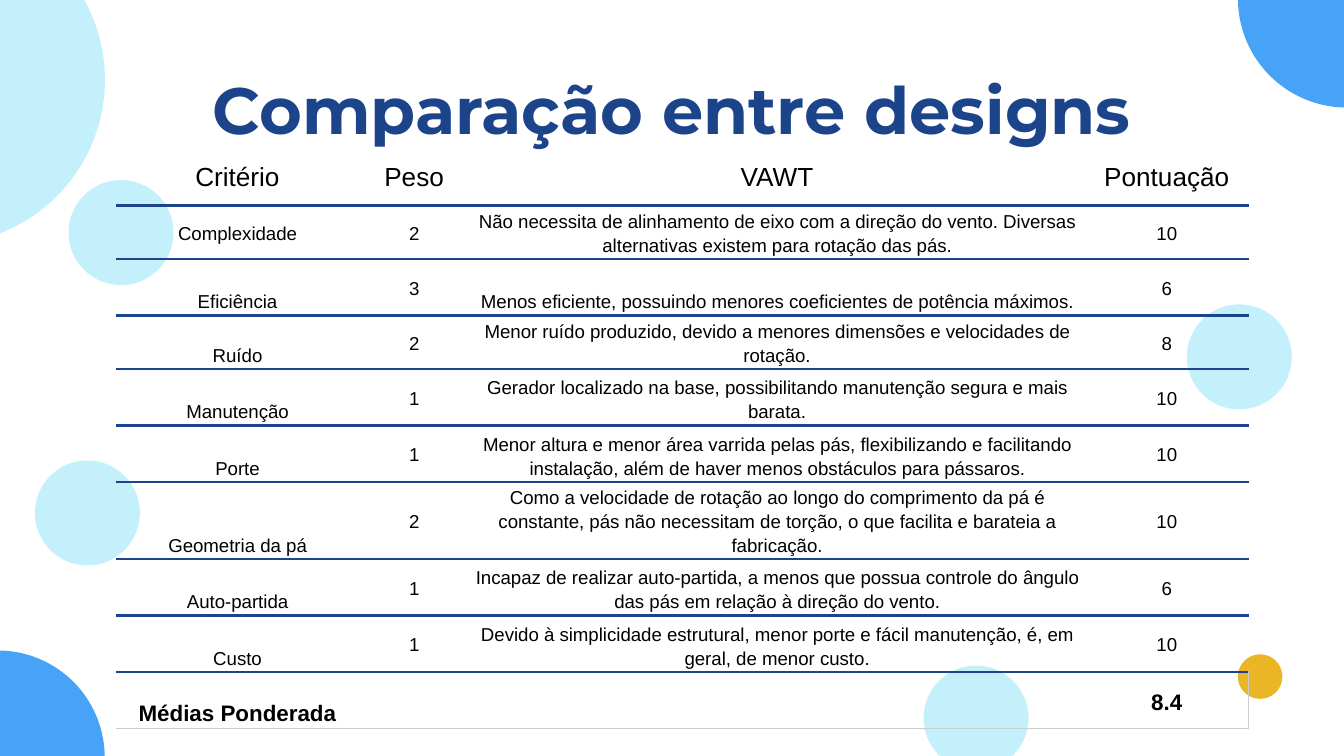
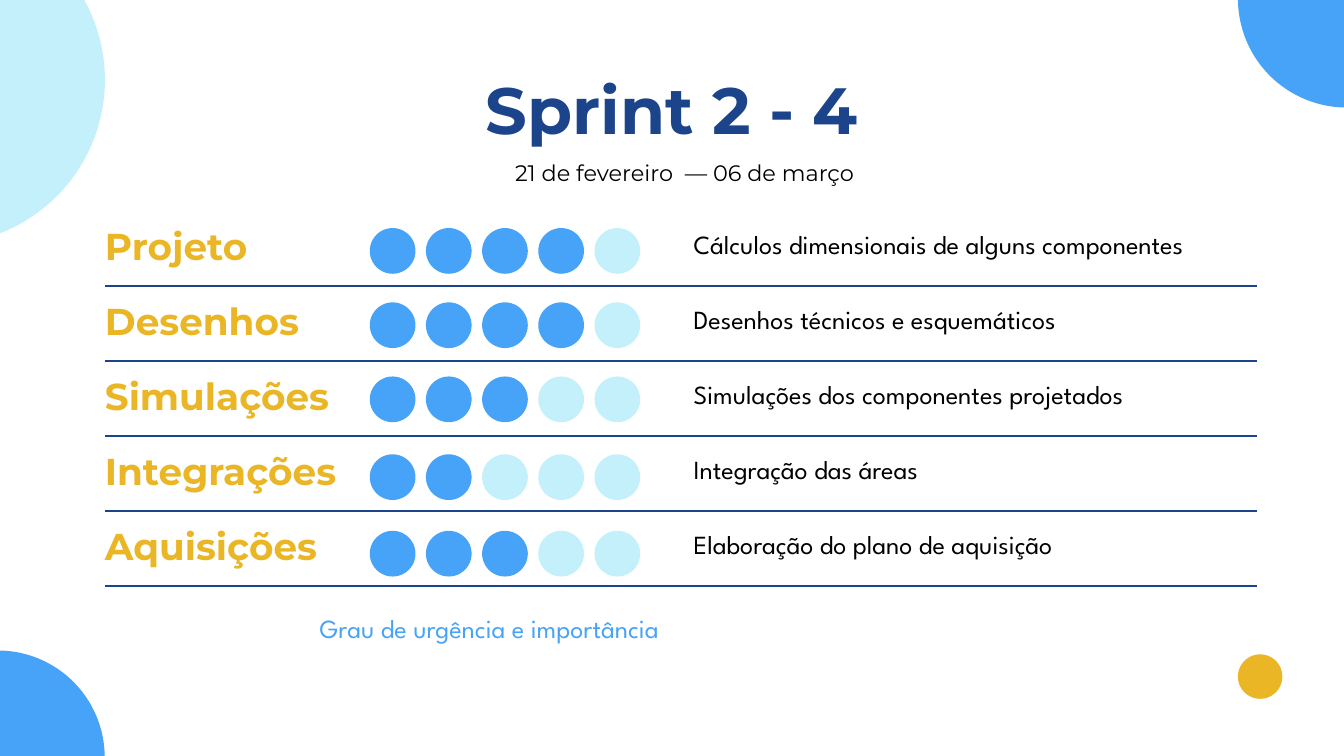
"""Build two slides: a weighted design comparison and a sprint status board."""
from dataclasses import dataclass, field
from lxml import etree
from pptx import Presentation
from pptx.dml.color import RGBColor
from pptx.enum.shapes import MSO_SHAPE
from pptx.enum.text import MSO_ANCHOR, MSO_AUTO_SIZE, PP_ALIGN
from pptx.oxml.ns import qn
from pptx.util import Pt

OVAL, PIE = MSO_SHAPE.OVAL, MSO_SHAPE.PIE
LEFT, MID = PP_ALIGN.LEFT, PP_ALIGN.CENTER
TOP, CENTER, BASE = MSO_ANCHOR.TOP, MSO_ANCHOR.MIDDLE, MSO_ANCHOR.BOTTOM
GROW, FIXED = MSO_AUTO_SIZE.SHAPE_TO_FIT_TEXT, MSO_AUTO_SIZE.NONE
PLAIN = "{2D5ABB26-0587-4C30-8999-92F81FD0307C}"


@dataclass
class Theme:
    navy: str = "1C448A"
    blue: str = "47A3F7"
    sky: str = "4CD2F8"
    gold: str = "EAB625"
    gray: str = "CCCCCC"
    black: str = "000000"
    styles: dict = field(default_factory=dict)


look = Theme()
# font, size, colour, bold, align, anchor, side inset, top inset, spacing
look.styles = {
    "title": ("Montserrat", 35, look.navy, True, MID, CENTER, 7.2, 7.2, 1),
    "date": ("Montserrat", 12, look.black, False, MID, TOP, 7.2, 7.2, 1),
    "key": ("League Spartan", 14, look.blue, False, LEFT, TOP, 7.2, 7.2, 1),
    "head": ("Arial", 14, look.black, False, MID, CENTER, 7.2, 7.2, 1),
    "score": ("Arial", 10, look.black, False, MID, CENTER, 2.25, 1.5, 1.15),
    "note": ("Arial", 10, look.black, False, MID, BASE, 2.25, 1.5, 1.15),
    "sum": ("Arial", 12, look.black, True, MID, BASE, 2.25, 1.5, 1.15),
    "mean": ("Arial", 12, look.black, True, MID, CENTER, 2.25, 1.5, 1.15),
    "area": ("Montserrat", 20, look.gold, True, LEFT, TOP, 0, 7.2, 1),
    "task": ("League Spartan", 14, look.black, False, LEFT, CENTER, 7.2, 7.2, 1),
}


def disc(slide, x, y, size, color, soft=False, kind=OVAL):
    shape = slide.shapes.add_shape(kind, Pt(x), Pt(y), Pt(size), Pt(size))
    shape.shadow.inherit = False
    shape.line.fill.background()
    shape.fill.solid()
    shape.fill.fore_color.rgb = RGBColor.from_string(color)
    if soft:
        tint = shape.element.find(".//" + qn("a:srgbClr"))
        etree.SubElement(tint, qn("a:alpha"), val="33000")
    return shape


def write(box, frame, text, style):
    face, size, color, bold, align, anchor, side, edge, space = look.styles[style]
    box.margin_left = box.margin_right = Pt(side)
    box.margin_top = box.margin_bottom = Pt(edge)
    box.vertical_anchor = anchor
    para = frame.paragraphs[0]
    para.alignment = align
    para.line_spacing = space
    if text:
        run = para.add_run()
        run.text = text
        run.font.name = face
        run.font.size = Pt(size)
        run.font.bold = bold
        run.font.color.rgb = RGBColor.from_string(color)


deck = Presentation()
deck.slide_width, deck.slide_height = Pt(720), Pt(405)
layout = deck.slide_layouts[5]
first, second = [deck.slides.add_slide(layout) for _ in range(2)]

decor = [
    disc(first, -120.2, -45.4, 176.4, look.sky, True),
    disc(first, 663.2, 350.6, 23.8, look.gold),
    disc(first, -58.4, 348.5, 114.5, look.blue, kind=PIE),
    disc(first, 663.2, -59, 116.6, look.blue, kind=PIE),
]
for shape, turn in zip(decor[2:], [(162, 0), (54, 108)]):
    shape.adjustments[0], shape.adjustments[1] = turn
for i, shape in enumerate(decor):
    shape.element.nvSpPr.cNvPr.set("id", str(100 + i))
    layout.shapes.element.insert(2 + i, shape.element)

for slide, text in [(first, "Comparação entre designs"), (second, "Sprint 2 - 4")]:
    title = slide.shapes.title
    title.left, title.top, title.width, title.height = Pt(56.7), Pt(35.1), Pt(606.6), Pt(45.4)
    frame = title.text_frame
    frame.auto_size = FIXED
    write(frame, frame, text, "title")

for x, y in [(18.7, 246.7), (36.7, 96.5), (635.8, 163.1), (494.8, 356.6)]:
    disc(first, x, y, 56.2, look.sky, True)

marks = [
    ("Complexidade", "2", "Não necessita de alinhamento de eixo com a direção do vento. Diversas alternativas existem para rotação das pás.", "10"),
    ("Eficiência", "3", "Menos eficiente, possuindo menores coeficientes de potência máximos.", "6"),
    ("Ruído", "2", "Menor ruído produzido, devido a menores dimensões e velocidades de rotação.", "8"),
    ("Manutenção", "1", "Gerador localizado na base, possibilitando manutenção segura e mais barata.", "10"),
    ("Porte", "1", "Menor altura e menor área varrida pelas pás, flexibilizando e facilitando instalação, além de haver menos obstáculos para pássaros.", "10"),
    ("Geometria da pá", "2", "Como a velocidade de rotação ao longo do comprimento da pá é constante, pás não necessitam de torção, o que facilita e barateia a fabricação.", "10"),
    ("Auto-partida", "1", "Incapaz de realizar auto-partida, a menos que possua controle do ângulo das pás em relação à direção do vento.", "6"),
    ("Custo", "1", "Devido à simplicidade estrutural, menor porte e fácil manutenção, é, em geral, de menor custo.", "10"),
]
areas = [
    ("Projeto", 4, "Cálculos dimensionais de alguns componentes", 122.2),
    ("Desenhos", 4, "Desenhos técnicos e esquemáticos", 162),
    ("Simulações", 3, "Simulações dos componentes projetados", 201.7),
    ("Integrações", 2, "Integração das áreas", 243.4),
    ("Aquisições", 3, "Elaboração do plano de aquisição", 284.4),
]

rows = [(("Critério", "Peso", "VAWT", "Pontuação"), ("head",) * 4)]
rows += [(mark, ("note", "score", "note", "score")) for mark in marks]
rows[1] = (marks[0], ("score", "score", "note", "score"))
rows.append((("Médias Ponderada", "", "", "8.4"), ("sum", "note", "note", "mean")))
board = [((name, "", task), ("area", "task", "task")) for name, _, task, _ in areas]
board.append((("",) * 3, ("task",) * 3))

rule, thin = (look.navy, 1.5), (look.gray, 0.75)
grids = [
    (first, 62.1, 80, [130.3, 59, 329.8, 87.8],
     [24.5, 19.4, 30.24, 19.4] + [30.24] * 6, rows, [rule] * 9 + [thin]),
    (second, 56.2, 113, [136.1, 172.1, 308.9],
     [40.2] * 5 + [61.9], board, [rule] * 5 + [None]),
]
for slide, x, y, wide, tall, body, lines in grids:
    holder = slide.shapes.add_table(len(tall), len(wide), Pt(x), Pt(y), Pt(sum(wide)), Pt(sum(tall)))
    table = holder.table
    table.first_row = table.horz_banding = False
    holder.element.find(".//" + qn("a:tableStyleId")).text = PLAIN
    for col, size in zip(table.columns, wide):
        col.width = Pt(size)
    for r, (texts, styles) in enumerate(body):
        table.rows[r].height = Pt(tall[r])
        for c, (text, style) in enumerate(zip(texts, styles)):
            cell = table.cell(r, c)
            write(cell, cell.text_frame, text, style)
            cell.fill.background()
            edges = [("a:lnB", lines[r]), ("a:lnT", lines[r - 1] if r else None)]
            if text == "8.4":
                edges.append(("a:lnR", thin))
            for tag, line in edges:
                if line:
                    edge = etree.Element(qn(tag), w=str(Pt(line[1])))
                    fill = etree.SubElement(edge, qn("a:solidFill"))
                    etree.SubElement(fill, qn("a:srgbClr"), val=line[0])
                    cell._tc.tcPr.insert(0, edge)

for _, level, _, y in areas:
    for i in range(5):
        soft = i >= level
        disc(second, 198.1 + 30.1 * i, y, 24.5, look.sky if soft else look.blue, soft)

for text, style, x, y, w, h in [
    ("21 de fevereiro  — 06 de março", "date", 264.2, 77.8, 205.2, 29),
    ("Grau de urgência e importância", "key", 164.2, 321.1, 218.2, 31.7),
]:
    frame = second.shapes.add_textbox(Pt(x), Pt(y), Pt(w), Pt(h)).text_frame
    frame.word_wrap = True
    frame.auto_size = GROW
    write(frame, frame, text, style)

deck.save("out.pptx")
